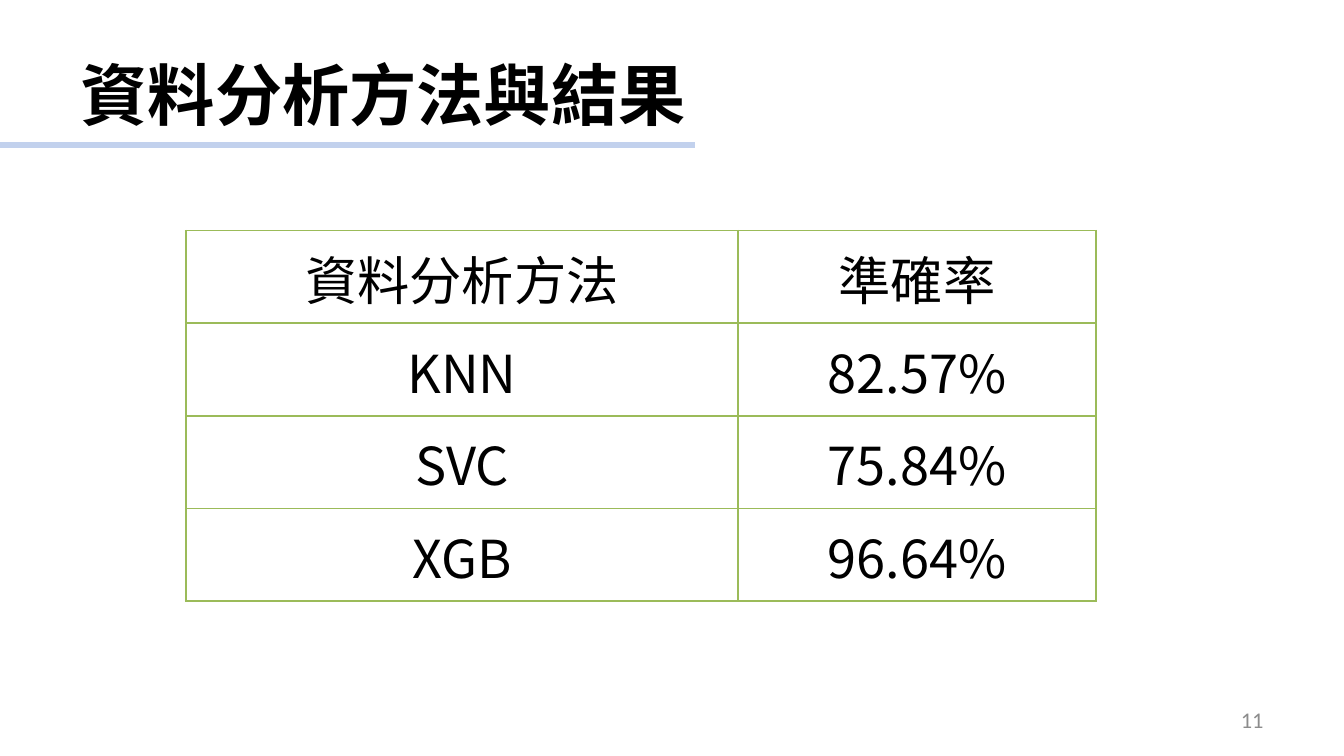
from dataclasses import dataclass

from lxml.etree import SubElement
from pptx import Presentation
from pptx.dml.color import RGBColor
from pptx.enum.shapes import MSO_CONNECTOR as Connector
from pptx.enum.text import MSO_ANCHOR as Anchor, PP_ALIGN as Align
from pptx.oxml.ns import qn
from pptx.util import Cm, Pt

COLORS = {"text": "000000", "rule": "C2D1ED", "border": "9BBB59", "number": "8C8C8C"}
CJK_FONT = "Noto Sans CJK SC"
TABLE_STYLE_NO_GRID = "{2D5ABB26-0587-4C30-8999-92F81FD0307C}"
CELL_FORMAT = {
    "vertical_anchor": Anchor.MIDDLE,
    "margin_left": Cm(0.03),
    "margin_right": Cm(0.03),
    "margin_top": Cm(0.03),
    "margin_bottom": 0,
}


@dataclass
class TextStyle:
    size: int
    font: str
    color: str
    align: Align
    bold: bool = False


@dataclass
class Result:
    method: str
    accuracy: str


TITLE = TextStyle(36, CJK_FONT, "text", Align.LEFT, True)
CELL = TextStyle(28, CJK_FONT, "text", Align.CENTER)
NUMBER = TextStyle(12, "Calibri", "number", Align.RIGHT)

RESULTS = [
    Result("資料分析方法", "準確率"),
    Result("KNN", "82.57%"),
    Result("SVC", "75.84%"),
    Result("XGB", "96.64%"),
]


def write_text(frame, text: str, style: TextStyle) -> None:
    paragraph = frame.paragraphs[0]
    paragraph.alignment = style.align
    run = paragraph.add_run()
    run.text = text
    values = {"size": Pt(style.size), "name": style.font, "bold": style.bold}
    for name, value in values.items():
        setattr(run.font, name, value)
    run.font.color.rgb = RGBColor.from_string(COLORS[style.color])
    # East Asian typeface
    SubElement(run.font._element, qn("a:ea"), typeface=style.font)


def add_borders(cell, color: str, width: float) -> None:
    properties = cell._tc.get_or_add_tcPr()
    for position, side in enumerate(("lnL", "lnR", "lnT", "lnB")):
        line = SubElement(properties, qn(f"a:{side}"), w=str(Pt(width)))
        fill = SubElement(line, qn("a:solidFill"))
        SubElement(fill, qn("a:srgbClr"), val=COLORS[color])
        properties.insert(position, line)


def place(shape, left: float, top: float, width: float, height: float) -> None:
    shape.left, shape.top = Cm(left), Cm(top)
    shape.width, shape.height = Cm(width), Cm(height)


presentation = Presentation()
presentation.slide_width, presentation.slide_height = Cm(25.4), Cm(14.29)
slide = presentation.slides.add_slide(presentation.slide_layouts[5])

# Rule under the title
rule = slide.shapes.add_connector(Connector.STRAIGHT, 0, Cm(2.74), Cm(13.13), Cm(2.74))
rule.line.color.rgb = RGBColor.from_string(COLORS["rule"])
rule.line.width = Pt(3.25)
SubElement(rule._element.spPr, qn("a:effectLst"))

# Title
title = slide.shapes.title
place(title, 1.27, 0.58, 22.86, 2.39)
title.text_frame.vertical_anchor = Anchor.MIDDLE
write_text(title.text_frame, "資料分析方法與結果", TITLE)

# Accuracy table
frame = slide.shapes.add_table(len(RESULTS), 2, Cm(3.51), Cm(4.36), Cm(17.2), Cm(7))
table = frame.table
table._tbl.tblPr.find(qn("a:tableStyleId")).text = TABLE_STYLE_NO_GRID
table.horz_banding = False
for column, width in zip(table.columns, (10.44, 6.76)):
    column.width = Cm(width)
for row, result in zip(table.rows, RESULTS):
    row.height = Cm(1.75)
    for cell, text in zip(row.cells, (result.method, result.accuracy)):
        for name, value in CELL_FORMAT.items():
            setattr(cell, name, value)
        cell.fill.background()
        add_borders(cell, "border", 1)
        write_text(cell.text_frame, text, CELL)

# Page number
number = slide.shapes.add_textbox(Cm(18.21), Cm(13.23), Cm(5.92), Cm(0.76))
number.text_frame.word_wrap = True
number.text_frame.vertical_anchor = Anchor.MIDDLE
write_text(number.text_frame, "11", NUMBER)

presentation.save("out.pptx")
